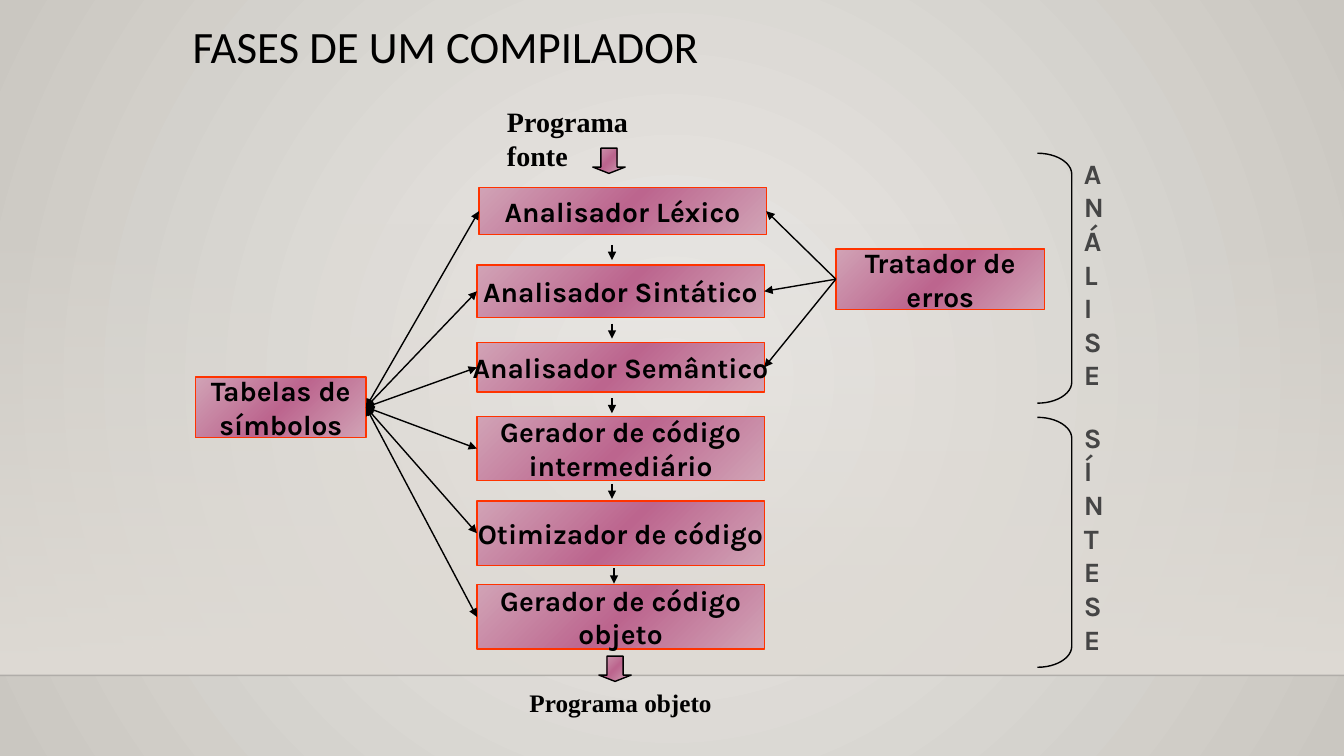
from lxml import etree
from pptx import Presentation
from pptx import util as u
from pptx.dml.color import RGBColor
from pptx.enum import shapes, text
from pptx.oxml.ns import nsdecls, qn

PINK = [(0, "D1A3B6", 100), (50, "BC658E", 100), (100, "D1A3B6", 100)]
FLOOR = [(0, "DFDBD5", 0), (100, "DFDBD5", 100)]
BACKDROP = [(0, "ECEAE7", 100), (100, "CAC7C1", 100)]
RADIAL = '<a:path path="circle"><a:fillToRect l="50000" t="50000" r="50000" b="50000"/></a:path>'
SHAPE = shapes.MSO_SHAPE
CENTER = text.PP_ALIGN.CENTER
LEFT = text.PP_ALIGN.LEFT
PADDING = (0.12, 0.06, 0.12, 0.06)


def rgb(value):
    return RGBColor.from_string(value)


def linear(angle):
    return f'<a:lin ang="{angle * 60000}" scaled="0"/>'


class Diagram:
    ink = "000000"
    border = "FF3300"
    font = "Karla"
    size = 20

    def __init__(self, prs):
        self.s = prs.slides.add_slide(prs.slide_layouts[5])

    def gradient(self, fill, parent, stops, direction):
        fill.background()
        marks = "".join(
            f'<a:gs pos="{pos * 1000}"><a:srgbClr val="{color}">'
            f'<a:alpha val="{alpha * 1000}"/></a:srgbClr></a:gs>'
            for pos, color, alpha in stops)
        grad = etree.fromstring(
            f'<a:gradFill {nsdecls("a")} rotWithShape="1"><a:gsLst>{marks}</a:gsLst>'
            f'{direction}</a:gradFill>')
        parent.replace(parent.find(qn("a:noFill")), grad)

    def background(self, stops):
        fill = self.s.background.fill
        fill.background()
        parent = self.s.element.find(".//" + qn("p:bgPr"))
        self.gradient(fill, parent, stops, RADIAL)

    def add_text(self, tf, lines, align, size=None, font=None, color=None, bold=True):
        for i, line in enumerate(lines):
            p = tf.paragraphs[0] if i == 0 else tf.add_paragraph()
            p.alignment = align
            r = p.add_run()
            r.text = line
            r.font.size = u.Pt(size or self.size)
            r.font.name = font or self.font
            r.font.bold = bold
            r.font.color.rgb = rgb(color or self.ink)

    def frame(self, tf, insets, wrap=True):
        tf.word_wrap = wrap
        tf.margin_left, tf.margin_top, tf.margin_right, tf.margin_bottom = map(u.Inches, insets)

    def title(self, at, words):
        sp = self.s.shapes.title
        sp.left, sp.top, sp.width, sp.height = map(u.Inches, at)
        tf = sp.text_frame
        tf.vertical_anchor = text.MSO_ANCHOR.TOP
        tf.auto_size = text.MSO_AUTO_SIZE.NONE
        self.frame(tf, (0.1, 0.05, 0.1, 0.05))
        self.add_text(tf, [words], LEFT, 32, "Calibri", bold=False)
        tf.paragraphs[0].line_spacing = 0.9

    def shape(self, kind, at, stops=None, angle=45, line=None):
        sp = self.s.shapes.add_shape(kind, *map(u.Inches, at))
        sp.shadow.inherit = False
        if stops:
            self.gradient(sp.fill, sp.element.spPr, stops, linear(angle))
        else:
            sp.fill.background()
        if line:
            sp.line.color.rgb = rgb(line)
            sp.line.width = u.Pt(1)
        else:
            sp.line.fill.background()
        return sp

    def box(self, at, *lines, wrap=True):
        sp = self.shape(SHAPE.RECTANGLE, at, PINK, line=self.border)
        tf = sp.text_frame
        tf.vertical_anchor = text.MSO_ANCHOR.MIDDLE
        self.frame(tf, PADDING, wrap)
        self.add_text(tf, lines, CENTER)
        return sp

    def label(self, at, words, align=LEFT, insets=PADDING, **style):
        tf = self.s.shapes.add_textbox(*map(u.Inches, at)).text_frame
        self.frame(tf, insets)
        tf.auto_size = text.MSO_AUTO_SIZE.SHAPE_TO_FIT_TEXT
        self.add_text(tf, [words], align, **style)

    def block_arrow(self, left, top):
        sp = self.shape(SHAPE.DOWN_ARROW, (left, top, 0.32, 0.25), PINK, line=self.ink)
        sp.adjustments[0], sp.adjustments[1] = 0.5, 0.25

    def bracket(self, top, word):
        sp = self.shape(SHAPE.RIGHT_BRACKET, (10.29, top, 0.34, 2.48), line=self.ink)
        sp.adjustments[0] = 0.615
        self.label((10.63, top - 0.03, 0.37, 2.45), word, color="454545")

    def line(self, start=(0, 0), end=(0, 0), heads=(), color=None, alpha=100):
        cx = self.s.shapes.add_connector(
            shapes.MSO_CONNECTOR.STRAIGHT, *map(u.Inches, (*start, *end)))
        cx.line.color.rgb = rgb(color or self.ink)
        cx.line.width = u.Pt(1)
        spPr = cx._element.spPr
        ln = spPr.find(qn("a:ln"))
        if alpha < 100:
            tint = ln.find(".//" + qn("a:srgbClr"))
            etree.SubElement(tint, qn("a:alpha")).set("val", str(alpha * 1000))
        for head in heads:
            etree.SubElement(ln, qn("a:" + head)).set("type", "triangle")
        etree.SubElement(spPr, qn("a:effectLst"))
        return cx

    def link(self, source, source_side, target, target_side, heads):
        cx = self.line(heads=heads)
        cx.begin_connect(source, source_side)
        cx.end_connect(target, target_side)


def main():
    prs = Presentation()
    prs.slide_width, prs.slide_height = u.Inches(13.33), u.Inches(7.5)
    d = Diagram(prs)
    d.background(BACKDROP)
    d.shape(SHAPE.RECTANGLE, (0, 2.21, 13.33, 4.49), FLOOR, 90)
    d.line((0, 6.7), (13.33, 6.7), color="000001", alpha=20)
    d.title((1.81, 0.2, 9, 1.25), "FASES DE UM COMPILADOR")

    phases = [d.box((left, top, 2.85, height), words, wrap=wrap)
              for left, top, height, words, wrap in [
                  (4.75, 1.86, 0.47, "Analisador Léxico", False),
                  (4.73, 2.63, 0.52, "Analisador Sintático", False),
                  (4.73, 3.4, 0.49, "Analisador Semântico", False),
                  (4.73, 4.13, 0.64, "Gerador de código intermediário", True),
                  (4.73, 4.97, 0.64, "Otimizador de código", False),
                  (4.73, 5.8, 0.64, "Gerador de código objeto", True)]]
    errors = d.box((8.29, 2.47, 2.07, 0.6), "Tratador de erros")
    symbols = d.box((1.94, 3.74, 1.69, 0.6), "Tabelas de", "símbolos")

    for x, y in [(6.07, 2.43), (6.07, 3.21), (6.07, 3.95), (6.07, 4.8), (6.09, 5.64)]:
        d.line((x, y), (x, y + 0.15), ["tailEnd"])
    for phase in phases:
        d.link(symbols, 3, phase, 1, ["headEnd", "tailEnd"])
    for phase in phases[:3]:
        d.link(errors, 1, phase, 3, ["tailEnd"])

    d.bracket(1.52, "ANÁLISE")
    d.bracket(4.14, "SÍNTESE")
    d.label((4.93, 0.99, 2.05, 0.44), "Programa fonte",
            insets=(0.1, 0.05, 0.5, 0.05), font="Times New Roman")
    d.label((4.38, 6.76, 3.55, 0.42), "Programa objeto", CENTER,
            size=18, font="Times New Roman")
    d.block_arrow(5.88, 1.47)
    d.block_arrow(5.94, 6.51)
    prs.save("out.pptx")


if __name__ == "__main__":
    main()
